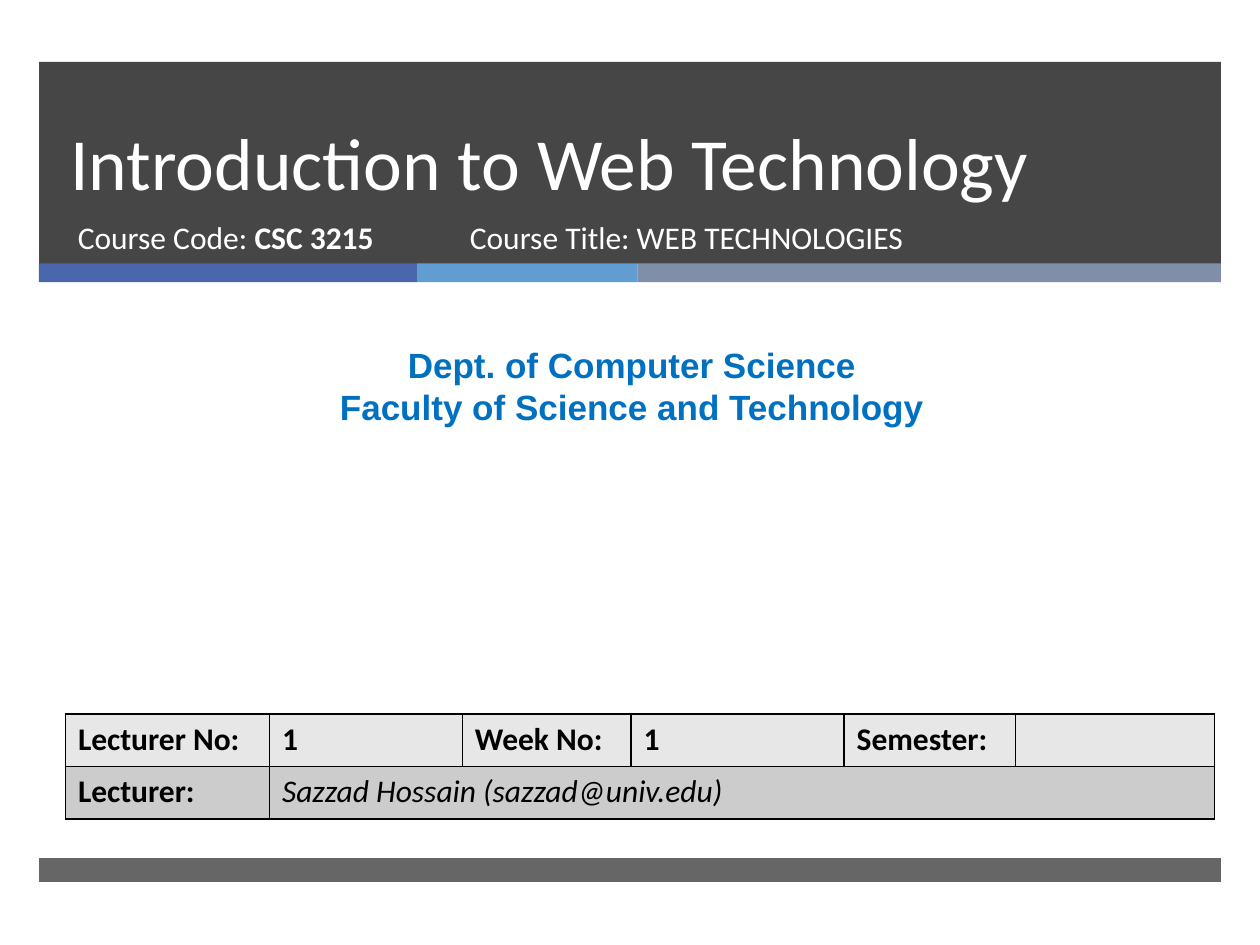
from lxml.etree import SubElement
from pptx import Presentation
from pptx.dml.color import RGBColor
from pptx.enum.shapes import MSO_SHAPE
from pptx.enum.text import MSO_ANCHOR, MSO_AUTO_SIZE, PP_ALIGN
from pptx.oxml.ns import qn
from pptx.util import Pt

LEFT, WIDTH = 22.3, 675.4  # shared by all bands
DARK, WHITE, BLUE, BLACK = "262626", "FFFFFF", "0070C0", "000000"


def color(fmt, hex_color):
    fmt.rgb = RGBColor.from_string(hex_color)


def place(sp, x, y, w, h):
    sp.left, sp.top, sp.width, sp.height = Pt(x), Pt(y), Pt(w), Pt(h)


def set_font(font, size, hex_color, name="Calibri", bold=False, italic=False):
    font.name, font.size, font.bold, font.italic = name, Pt(size), bold, italic
    color(font.color, hex_color)


def add_band(s, x, y, w, h, fill, opacity=100):
    sp = s.shapes.add_shape(MSO_SHAPE.RECTANGLE, Pt(x), Pt(y), Pt(w), Pt(h))
    sp.shadow.inherit = False
    sp.line.fill.background()
    sp.fill.solid()
    color(sp.fill.fore_color, fill)
    if opacity < 100:
        clr = sp.element.spPr.find(qn("a:solidFill"))[0]
        SubElement(clr, qn("a:alpha"), val=str(opacity * 1000))


def add_title(s, text):
    sp = s.shapes.title
    place(sp, 33.1, 35.3, 614.9, 85.7)
    sp.element.getparent().append(sp.element)  # in front of the bands
    tf = sp.text_frame
    tf.text = text
    tf.auto_size, tf.vertical_anchor = MSO_AUTO_SIZE.NONE, MSO_ANCHOR.BOTTOM
    p = tf.paragraphs[0]
    p.alignment, p.line_spacing = PP_ALIGN.LEFT, Pt(46)
    set_font(p.font, 42, WHITE)


def add_text(s, x, y, w, h, lines, size, hex_color, name="Calibri",
             bold=False, align=PP_ALIGN.LEFT):
    tf = s.shapes.add_textbox(Pt(x), Pt(y), Pt(w), Pt(h)).text_frame
    tf.word_wrap = True
    tf.text = "\n".join(lines)
    for p in tf.paragraphs:
        p.alignment = align
        set_font(p.font, size, hex_color, name, bold)
    return tf


def format_cell(cell, fill):
    cell.fill.solid()
    color(cell.fill.fore_color, fill)
    tcPr = cell._tc.get_or_add_tcPr()
    for i, side in enumerate(("lnL", "lnR", "lnT", "lnB")):
        ln = tcPr.makeelement(qn(f"a:{side}"), {"w": str(Pt(1))})
        SubElement(SubElement(ln, qn("a:solidFill")), qn("a:srgbClr"), val=BLACK)
        tcPr.insert(i, ln)  # borders come before the fill


def add_lecture_table(s):
    widths = [116.6, 110.2, 96.5, 121.7, 97.9, 113.8]
    rows = [(["Lecturer No:", "1", "Week No:", "1", "Semester:", ""], "E7E7E7"),
            (["Lecturer:", "Sazzad Hossain (sazzad@univ.edu)"], "CCCCCC")]
    table = s.shapes.add_table(len(rows), len(widths), Pt(37.4), Pt(408),
                               Pt(sum(widths)), Pt(60)).table
    for col, w in zip(table.columns, widths):
        col.width = Pt(w)
    for r, (texts, fill) in enumerate(rows):
        for c in range(len(widths)):
            format_cell(table.cell(r, c), fill)
        for c, text in enumerate(texts):
            cell = table.cell(r, c)
            cell.text = text
            is_name = (r, c) == (1, 1)
            set_font(cell.text_frame.paragraphs[0].font, 18, BLACK,
                     bold=not is_name, italic=is_name)
    table.cell(1, 1).merge(table.cell(1, len(widths) - 1))


def main():
    prs = Presentation()
    prs.slide_width, prs.slide_height = Pt(720), Pt(540)
    s = prs.slides.add_slide(prs.slide_layouts[5])

    # Header band, coloured strips and footer band
    add_band(s, LEFT, 35.3, WIDTH, 115.5, DARK, 85)
    x = LEFT
    for w, fill in [(216, "4A66AC"), (126, "629DD1"), (333.4, "7F8FA9")]:
        add_band(s, x, 150.5, w, 10.8, fill)
        x += w
    add_band(s, LEFT, 490.3, WIDTH, 13.7, DARK, 70)

    # Title and course details
    add_title(s, "Introduction to Web Technology")
    tf = add_text(s, 37.4, 121, 219.6, 38.2, ["Course Code: "], 18, WHITE)
    r = tf.paragraphs[0].add_run()
    r.text, r.font.bold = "CSC 3215", True
    add_text(s, 261.4, 121, 327.6, 38.2, ["Course Title: WEB TECHNOLOGIES"],
             18, WHITE)

    # Department
    add_text(s, 5.8, 193, 710.6, 55.4,
             ["Dept. of Computer Science", "Faculty of Science and Technology"],
             20, BLUE, "Arial", True, PP_ALIGN.CENTER)

    # Lecture details
    add_lecture_table(s)
    prs.save("out.pptx")


if __name__ == "__main__":
    main()
